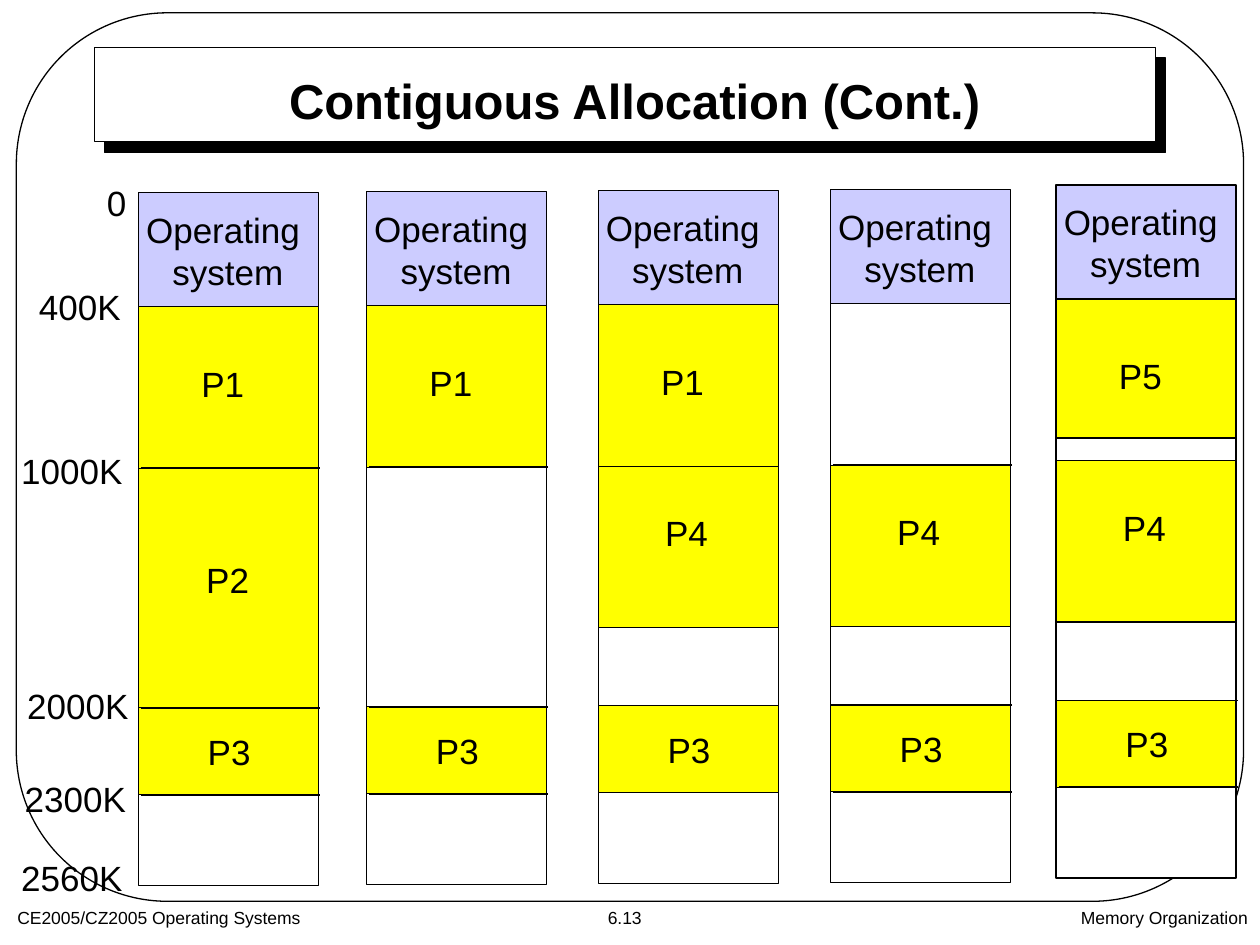
from dataclasses import dataclass

from lxml.etree import SubElement
from pptx import Presentation
from pptx.dml.color import RGBColor
from pptx.enum.shapes import MSO_CONNECTOR, MSO_SHAPE
from pptx.enum.text import MSO_ANCHOR, MSO_AUTO_SIZE, PP_ALIGN
from pptx.oxml.ns import qn
from pptx.util import Cm, Pt


@dataclass(frozen=True)
class Theme:
    font: str = "Arial"
    ink: RGBColor = RGBColor(0, 0, 0)
    free: RGBColor = RGBColor(255, 255, 255)
    used: RGBColor = RGBColor(255, 255, 0)
    system: RGBColor = RGBColor(204, 204, 255)
    title: Pt = Pt(28)
    body: Pt = Pt(20)
    footer: Pt = Pt(10)
    outline: Pt = Pt(0.75)
    divider: Pt = Pt(1)


theme = Theme()
deck = Presentation()
deck.slide_width, deck.slide_height = Cm(25.4), Cm(19.05)
page = deck.slides.add_slide(deck.slide_layouts[6])


def add_outlined(preset, left, top, width, height, fill=None):
    shape = page.shapes.add_shape(preset, Cm(left), Cm(top), Cm(width), Cm(height))
    shape.shadow.inherit = False
    if fill is None:
        shape.fill.background()
    else:
        shape.fill.solid()
        shape.fill.fore_color.rgb = fill
    shape.line.color.rgb = theme.ink
    shape.line.width = theme.outline
    return shape


def add_text(text, left, top, width, height, size=theme.body,
             align=PP_ALIGN.CENTER, anchor=MSO_ANCHOR.MIDDLE, wrap=False):
    box = page.shapes.add_textbox(Cm(left), Cm(top), Cm(width), Cm(height))
    box.text_frame.word_wrap = wrap
    if not wrap:
        box.text_frame.auto_size = MSO_AUTO_SIZE.SHAPE_TO_FIT_TEXT
    box.text_frame.vertical_anchor = anchor
    para = box.text_frame.paragraphs[0]
    para.text = text
    para.alignment = align
    para.font.name = theme.font
    para.font.size = size
    para.font.color.rgb = theme.ink
    return para


# Title plate with a hard shadow, page frame and footer
plate = add_outlined(MSO_SHAPE.RECTANGLE, 1.9, 0.96, 21.39, 1.9, theme.free)
effects = plate._element.spPr.find(qn("a:effectLst"))
shadow = SubElement(effects, qn("a:outerShdw"), dist=str(Pt(8.5)), dir="2700000",
                    algn="ctr", rotWithShape="0")
SubElement(shadow, qn("a:srgbClr"), val=str(theme.ink))

frame = add_outlined(MSO_SHAPE.ROUNDED_RECTANGLE, 0.33, 0.26, 24.74, 17.91)
frame.adjustments[0] = 0.17

add_text("6.13", 11.4, 18.16, 2.39, 0.69, theme.footer)
add_text("Memory Organization", 17.35, 18.16, 8.05, 0.89, theme.footer,
         PP_ALIGN.RIGHT, MSO_ANCHOR.TOP, True)
add_text("CE2005/CZ2005 Operating Systems", 0.1, 18.16, 11.33, 0.89, theme.footer,
         PP_ALIGN.LEFT, MSO_ANCHOR.TOP, True)
title = add_text("Contiguous Allocation (Cont.)", 3.23, 1.38, 19.13, 1.27,
                 theme.title, wrap=True)
title.font.bold = True

# Distance from the top of a memory column to each address (in K)
depth = {0: 0, 400: 2.3, 900: 5.1, 1000: 5.56, 1700: 8.81,
         2000: 10.39, 2300: 12.14, 2560: 13.97}
# Start and end address of each process, and its label's centre in the column
processes = {
    "P1": (400, 1000, 1.7, 3.86),
    "P2": (1000, 2000, 1.8, 7.8),
    "P3": (2000, 2300, 1.83, 11.26),
    "P4": (1000, 1700, 1.78, 6.9),
    "P5": (400, 900, 1.7, 3.84),
}
# Left, top, processes held, free areas, addresses with a divider
columns = [
    (2.79, 3.88, ["P1", "P2", "P3"], [(2300, 2560)], [1000, 2000, 2300]),
    (7.39, 3.86, ["P1", "P3"], [(1000, 2000), (2300, 2560)], [1000, 2000, 2300]),
    (12.06, 3.84, ["P1", "P4", "P3"], [(1700, 2000), (2300, 2560)], []),
    (16.74, 3.82, ["P4", "P3"], [(400, 1000), (1700, 2000), (2300, 2560)],
     [1000, 2000, 2300]),
    (21.29, 3.73, ["P5", "P4", "P3"], [(900, 1000), (1700, 2000), (2300, 2560)],
     [2000, 2300]),
]
column_width = 3.63
label_width, label_height = 1.37, 1.12

for left, top, held, free_areas, dividers in columns:
    areas = [(0, 400, theme.system)]
    areas += [(start, end, theme.free) for start, end in free_areas]
    areas += [(*processes[name][:2], theme.used) for name in held]
    for start, end, fill in areas:
        add_outlined(MSO_SHAPE.RECTANGLE, left, top + depth[start],
                     column_width, depth[end] - depth[start], fill)

    for address in dividers:
        level = Cm(top + depth[address])
        line = page.shapes.add_connector(MSO_CONNECTOR.STRAIGHT, Cm(left + 0.05), level,
                                         Cm(left + column_width + 0.03), level)
        line.line.color.rgb = theme.ink
        line.line.width = theme.divider
        SubElement(line._element.spPr, qn("a:effectLst"))

    add_text("Operating \vsystem", left - 0.1, top - 0.23, 3.81, 2.79, wrap=True)
    for name in held:
        across, down = processes[name][2:]
        add_text(name, left + across - label_width / 2, top + down - label_height / 2,
                 label_width, label_height)

# Address scale beside the first column: text, centre, top
scale_width = 2.7
for text, centre, top in [
    ("0", 2.35, 3.53),
    ("400K", 1.61, 5.61),
    ("1000K", 1.45, 8.92),
    ("2000K", 1.57, 13.67),
    ("2300K", 1.52, 15.54),
    ("2560K", 1.45, 17.12),
]:
    add_text(text, centre - scale_width / 2, top, scale_width, label_height)

deck.save("out.pptx")
